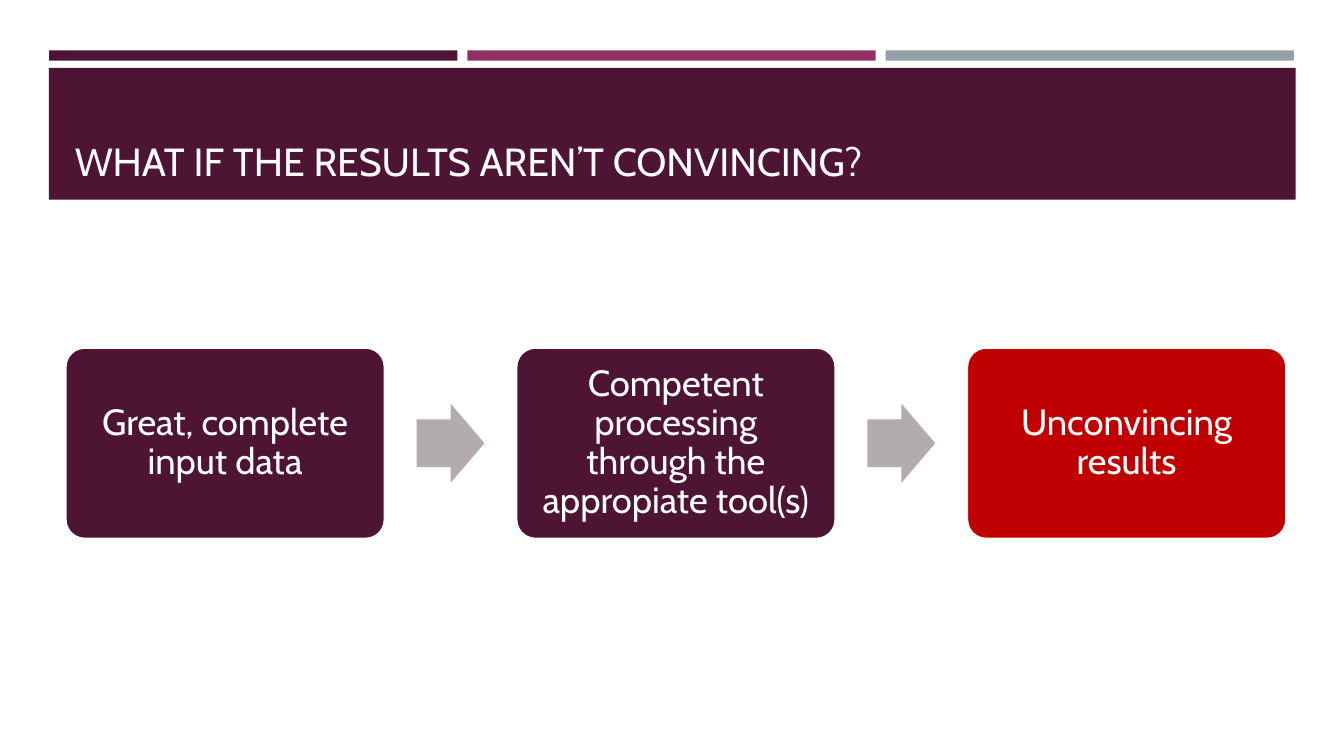
"""Build a title slide with a three-step process diagram."""
from dataclasses import dataclass

from pptx import Presentation
from pptx.dml.color import RGBColor
from pptx.enum import shapes, text
from pptx.util import Cm, Pt

TITLE = "WHAT IF THE RESULTS AREN’T CONVINCING?"
STEPS = [
    ("Great, complete input data", "plum"),
    ("Competent processing through the appropiate tool(s)", "plum"),
    ("Unconvincing results", "red"),
]
BARS = ["plum", "magenta", "slate"]


@dataclass(frozen=True)
class Theme:
    plum: str = "4D1434"
    magenta: str = "903163"
    slate: str = "969FA7"
    red: str = "C00000"
    arrow: str = "B2ACAE"
    white: str = "FFFFFF"
    font: str = "Cabin"
    title_size: int = 28
    step_size: int = 26

    def color(self, name):
        return RGBColor.from_string(getattr(self, name))


THEME = Theme()
BAR_LEFT, BAR_TOP, BAR_WIDTH, BAR_HEIGHT, BAR_PITCH = 1.24, 1.27, 10.29, 0.26, 10.54
STEP_LEFT, STEP_TOP, STEP_WIDTH, STEP_HEIGHT, STEP_PITCH = 1.65, 8.76, 8.05, 4.82, 11.36
ARROW_WIDTH, ARROW_HEIGHT = 1.71, 2.0
STEP_INSET = 0.28


def add_block(slide, kind, box, fill, line=None, adjustments=()):
    shape = slide.shapes.add_shape(kind, *map(Cm, box))
    shape.shadow.inherit = False
    shape.fill.solid()
    shape.fill.fore_color.rgb = THEME.color(fill)
    if line:
        shape.line.color.rgb = THEME.color(line)
        shape.line.width = Pt(1.75)
    else:
        shape.line.fill.background()
    for index, value in enumerate(adjustments):
        shape.adjustments[index] = value
    return shape


def write_text(shape, content, size, align, anchor, spacing=1.0, inset=None):
    frame = shape.text_frame
    frame.text = content
    frame.word_wrap = True
    frame.auto_size = text.MSO_AUTO_SIZE.NONE
    frame.vertical_anchor = anchor
    if inset is not None:
        frame.margin_left = frame.margin_right = Cm(inset)
        frame.margin_top = frame.margin_bottom = Cm(inset)
    paragraph = frame.paragraphs[0]
    paragraph.alignment = align
    paragraph.line_spacing = spacing
    paragraph.space_before = Pt(0)
    paragraph.font.name = THEME.font
    paragraph.font.size = Pt(size)
    paragraph.font.color.rgb = THEME.color("white")


def add_header(slide):
    for index, fill in enumerate(BARS):
        box = (BAR_LEFT + index * BAR_PITCH, BAR_TOP, BAR_WIDTH, BAR_HEIGHT)
        add_block(slide, shapes.MSO_SHAPE.RECTANGLE, box, fill)
    add_block(slide, shapes.MSO_SHAPE.RECTANGLE, (1.23, 1.71, 31.42, 3.32), "plum")
    title = slide.shapes.title
    title.left, title.top, title.width, title.height = map(Cm, (1.63, 1.96, 30.63, 2.82))
    write_text(title, TITLE, THEME.title_size, text.PP_ALIGN.LEFT, text.MSO_ANCHOR.BOTTOM)
    title.element.getparent().append(title.element)


def add_process(slide):
    arrow_offset = (STEP_WIDTH + STEP_PITCH - ARROW_WIDTH) / 2
    arrow_top = STEP_TOP + (STEP_HEIGHT - ARROW_HEIGHT) / 2
    for index, (label, fill) in enumerate(STEPS):
        left = STEP_LEFT + index * STEP_PITCH
        step = add_block(slide, shapes.MSO_SHAPE.ROUNDED_RECTANGLE,
                         (left, STEP_TOP, STEP_WIDTH, STEP_HEIGHT), fill,
                         line="white", adjustments=[0.1])
        write_text(step, label, THEME.step_size, text.PP_ALIGN.CENTER,
                   text.MSO_ANCHOR.MIDDLE, spacing=0.9, inset=STEP_INSET)
        if index < len(STEPS) - 1:
            add_block(slide, shapes.MSO_SHAPE.RIGHT_ARROW,
                      (left + arrow_offset, arrow_top, ARROW_WIDTH, ARROW_HEIGHT),
                      "arrow", adjustments=[0.6, 0.5])


def main():
    presentation = Presentation()
    presentation.slide_width, presentation.slide_height = Cm(33.87), Cm(19.05)
    slide = presentation.slides.add_slide(presentation.slide_layouts[5])
    add_header(slide)
    add_process(slide)
    presentation.save("out.pptx")


if __name__ == "__main__":
    main()
